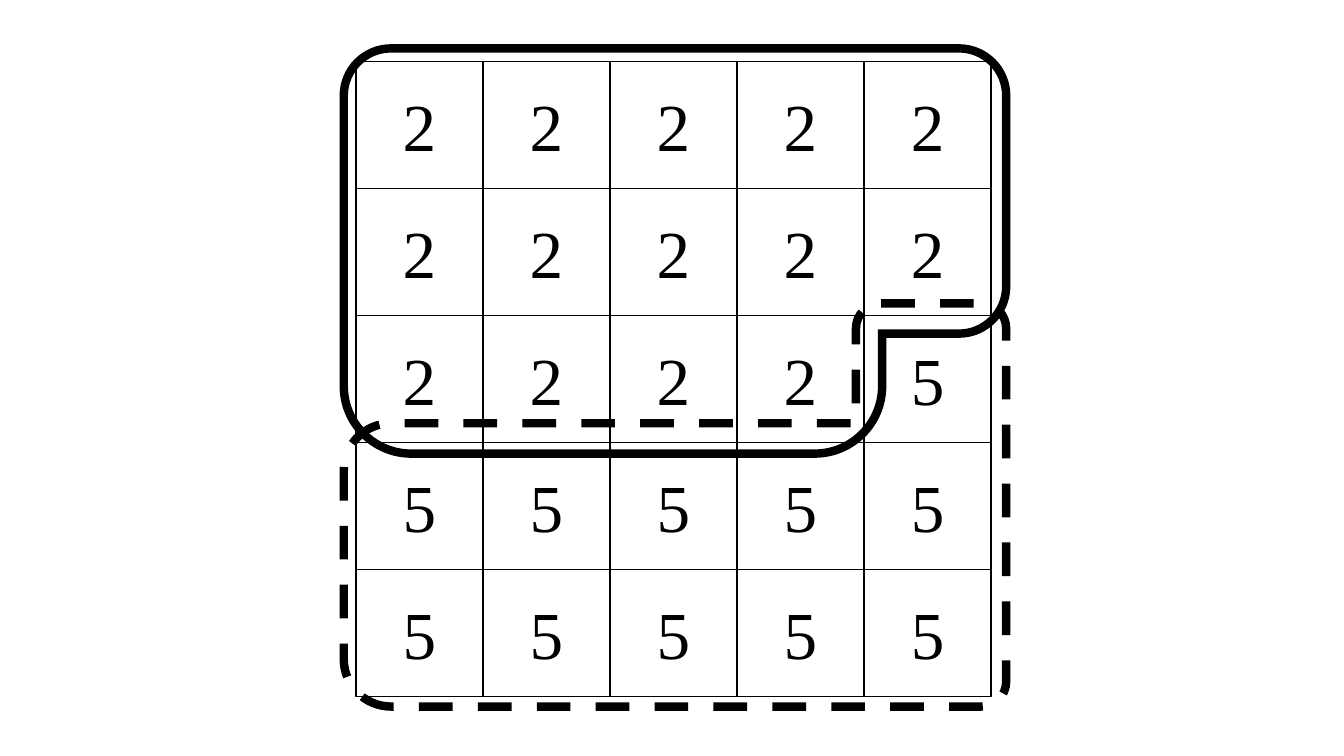
from dataclasses import dataclass

from lxml.etree import Element, SubElement
from pptx import Presentation
from pptx.dml.color import RGBColor
from pptx.enum.dml import MSO_LINE
from pptx.enum.shapes import MSO_SHAPE
from pptx.enum.text import MSO_ANCHOR, PP_ALIGN
from pptx.oxml.ns import qn
from pptx.util import Pt

PX = 9144  # 100 px to the inch
ARC = 0.55  # Bézier handle length of a quarter circle, per radius


@dataclass(frozen=True)
class Theme:
    ink: RGBColor = RGBColor(0, 0, 0)
    paper: RGBColor = RGBColor(255, 255, 255)
    font: str = "Times New Roman"
    digit: Pt = Pt(48)
    thin: Pt = Pt(1)
    thick: Pt = Pt(6)


THEME = Theme()
GRID = (353, 61, 630)  # left, top, side
ROWS = ["22222", "22222", "22225", "55555", "55555"]

# Corners run clockwise as (x, y, radius), in px from the grid's top left.
TWOS = [(-12, -13, 47), (645, -13, 47), (645, 270, 47),
        (522, 270, 0), (522, 389, 67), (-12, 389, 67)]
FIVES = [(645, 240, 25), (645, 640, 25), (-12, 640, 47),
         (-12, 359, 47), (496, 359, 0), (496, 240, 25)]


def add_cell(shapes, x, y, side, digit):
    s = shapes.add_shape(MSO_SHAPE.RECTANGLE, x * PX, y * PX, side * PX, side * PX)
    s.shadow.inherit = False
    s.fill.solid()
    s.fill.fore_color.rgb = THEME.paper
    s.line.color.rgb = THEME.ink
    s.line.width = THEME.thin
    tf = s.text_frame
    tf.vertical_anchor = MSO_ANCHOR.MIDDLE
    p = tf.paragraphs[0]
    p.alignment = PP_ALIGN.CENTER
    r = p.add_run()
    r.text = digit
    r.font.name = THEME.font
    r.font.size = THEME.digit
    r.font.color.rgb = THEME.ink


def add_grid(slide, box, rows):
    left, top, side = box
    cell = side // len(rows)
    shapes = slide.shapes.add_group_shape().shapes
    for i, row in enumerate(rows):
        for j, digit in enumerate(row):
            add_cell(shapes, left + j * cell, top + i * cell, cell, digit)


def toward(a, b, distance):
    """Point at a distance from a along the horizontal or vertical side to b."""
    dx, dy = b[0] - a[0], b[1] - a[1]
    share = distance / (abs(dx) + abs(dy))
    return a[0] + dx * share, a[1] + dy * share


def trace(corners):
    """List (end point, Bézier handles) for each segment of a rounded outline."""
    segments = []
    for i, corner in enumerate(corners):
        before, after = corners[i - 1], corners[(i + 1) % len(corners)]
        radius = corner[2]
        segments.append((toward(corner, before, radius), ()))
        if radius:
            handle = radius * (1 - ARC)
            handles = toward(corner, before, handle), toward(corner, after, handle)
            segments.append((toward(corner, after, radius), handles))
    return segments


def add_outline(slide, box, corners, dash=None):
    left, top, _ = box
    segments = trace([(left + x, top + y, radius) for x, y, radius in corners])
    ends = [end for end, _ in segments]
    builder = slide.shapes.build_freeform(*ends[-1], scale=float(PX))
    builder.add_line_segments(ends, close=True)
    s = builder.convert_to_shape()

    # Work in the outline's own units, so that handles match its end points.
    x0, y0 = min(x for x, _ in ends), min(y for _, y in ends)
    lines = list(s._element.iter(qn("a:lnTo")))
    for line, (_, handles) in zip(lines, segments):
        if not handles:
            continue
        curve = Element(qn("a:cubicBezTo"))
        for x, y in handles:
            SubElement(curve, qn("a:pt"), x=str(round(x - x0)), y=str(round(y - y0)))
        curve.append(line[0])
        line.getparent().replace(line, curve)

    s.shadow.inherit = False
    s.fill.background()
    s.line.color.rgb = THEME.ink
    s.line.width = THEME.thick
    if dash:
        s.line.dash_style = dash
    SubElement(s.line._get_or_add_ln(), qn("a:miter"), lim="800000")


def main():
    prs = Presentation()
    prs.slide_width, prs.slide_height = 1333 * PX, 750 * PX
    slide = prs.slides.add_slide(prs.slide_layouts[6])
    add_grid(slide, GRID, ROWS)
    add_outline(slide, GRID, TWOS)
    add_outline(slide, GRID, FIVES, MSO_LINE.DASH)
    prs.save("out.pptx")


if __name__ == "__main__":
    main()
